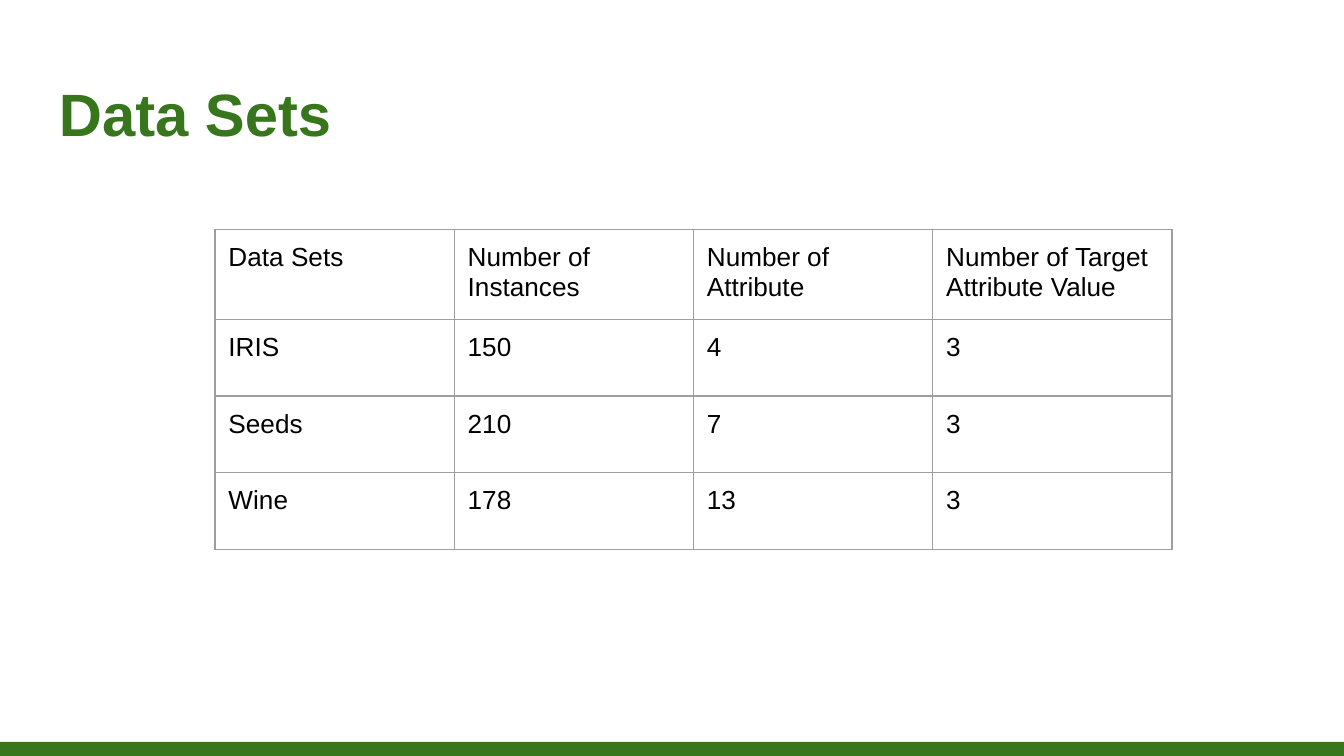
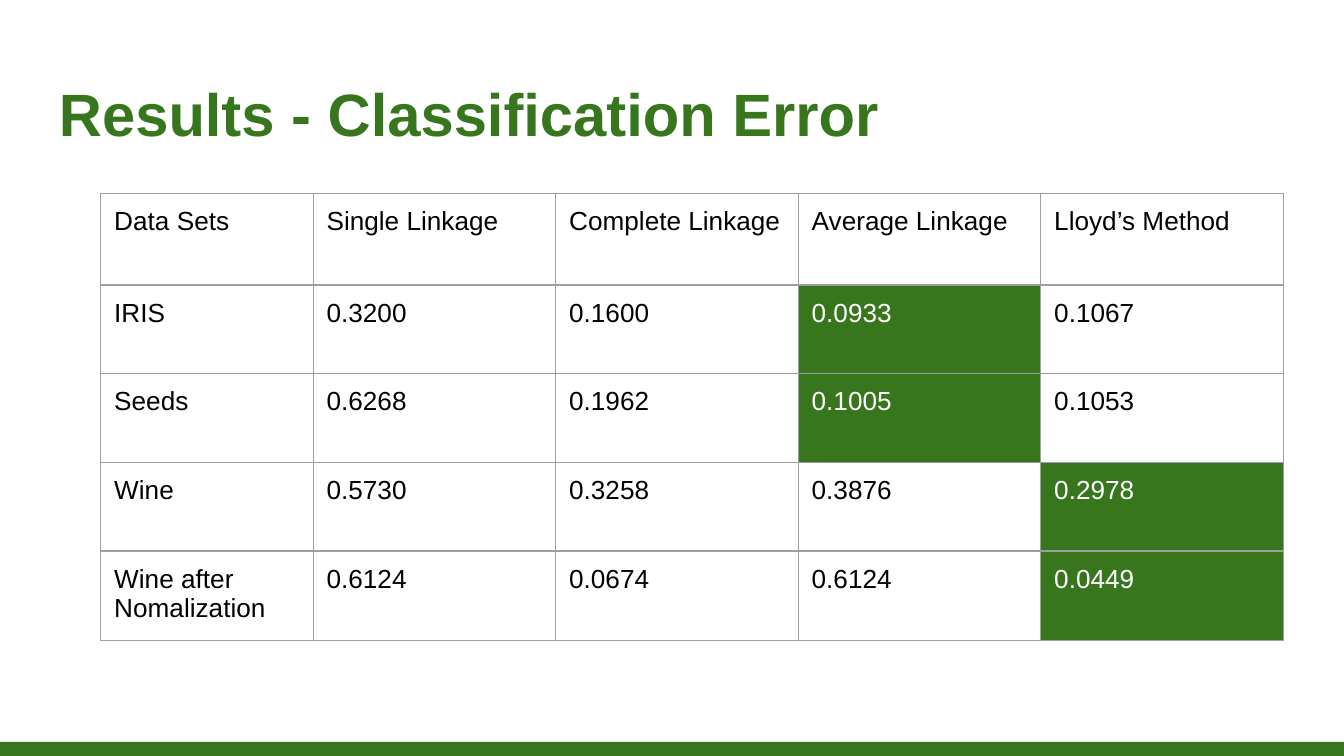
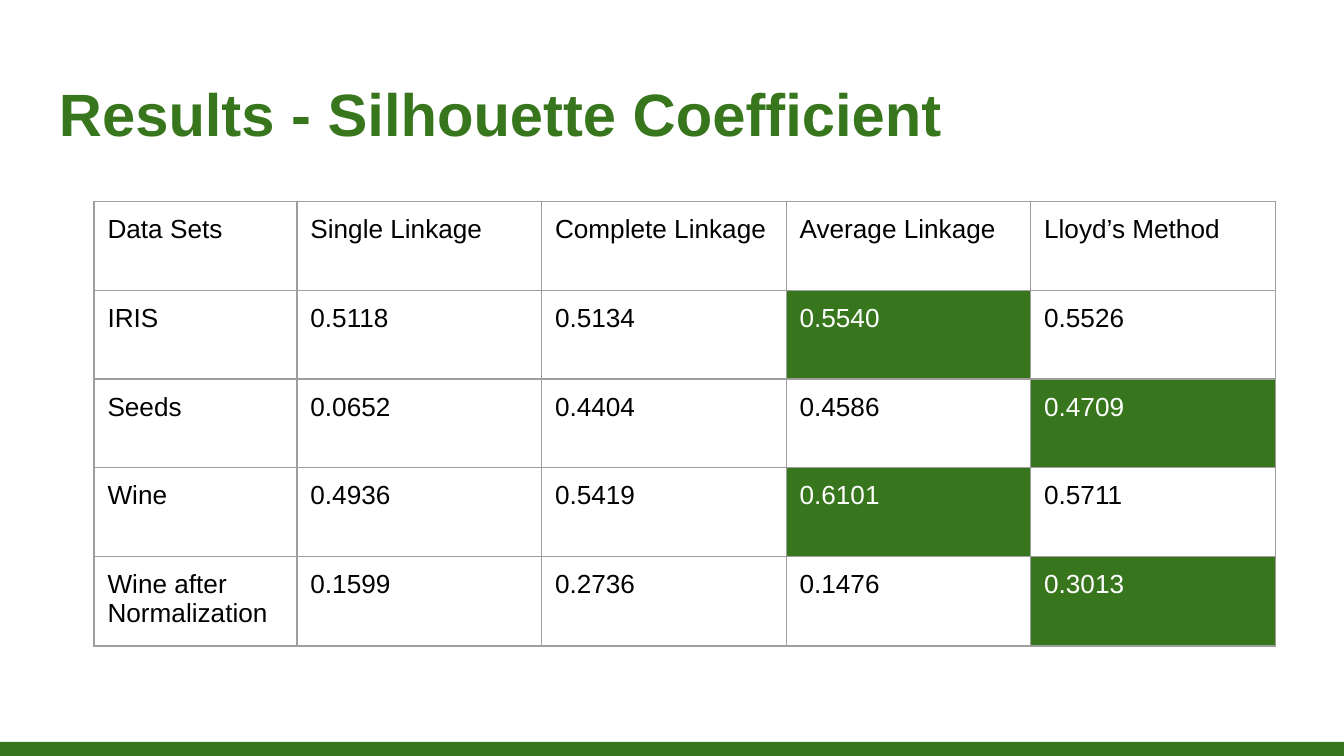
"""Build three slides of tables on clustering data sets and results."""
from dataclasses import dataclass

from lxml import etree
from pptx import Presentation
from pptx import util as u
from pptx.dml.color import RGBColor
from pptx.enum import shapes, text
from pptx.oxml import ns

METHODS = ["Data Sets", "Single Linkage", "Complete Linkage", "Average Linkage", "Lloyd’s Method"]

SLIDES = [
    {
        "title": "Data Sets",
        "corner": (1.6, 1.71),
        "columns": [1.78] * 4,
        "heights": [0.5] + [0.57] * 3,
        "best": None,
        "rows": [
            ["Data Sets", "Number of Instances", "Number of Attribute", "Number of Target Attribute Value"],
            ["IRIS", "150", "4", "3"],
            ["Seeds", "210", "7", "3"],
            ["Wine", "178", "13", "3"],
        ],
    },
    {
        "title": "Results - Classification Error",
        "corner": (0.75, 1.44),
        "columns": [1.58] + [1.805] * 4,
        "heights": [0.68] + [0.66] * 4,
        "best": min,
        "rows": [
            METHODS,
            ["IRIS", "0.3200", "0.1600", "0.0933", "0.1067"],
            ["Seeds", "0.6268", "0.1962", "0.1005", "0.1053"],
            ["Wine", "0.5730", "0.3258", "0.3876", "0.2978"],
            ["Wine after Nomalization", "0.6124", "0.0674", "0.6124", "0.0449"],
        ],
    },
    {
        "title": "Results - Silhouette Coefficient",
        "corner": (0.7, 1.5),
        "columns": [1.51] + [1.82] * 4,
        "heights": [0.66] * 5,
        "best": max,
        "rows": [
            METHODS,
            ["IRIS", "0.5118", "0.5134", "0.5540", "0.5526"],
            ["Seeds", "0.0652", "0.4404", "0.4586", "0.4709"],
            ["Wine", "0.4936", "0.5419", "0.6101", "0.5711"],
            ["Wine after Normalization", "0.1599", "0.2736", "0.1476", "0.3013"],
        ],
    },
]


@dataclass(frozen=True)
class Theme:
    font: str = "Arial"
    green: str = "38761D"
    black: str = "000000"
    white: str = "FFFFFF"
    border: str = "9E9E9E"
    title_size: float = 32
    cell_size: float = 14
    border_width: float = 0.75
    inset: float = 0.1


THEME = Theme()


def add_run(paragraph, words, size, color, bold=False):
    run = paragraph.add_run()
    run.text = words
    run.font.name = THEME.font
    run.font.size = u.Pt(size)
    run.font.bold = bold
    run.font.color.rgb = RGBColor.from_string(color)


def add_band(slide):
    band = slide.shapes.add_shape(
        shapes.MSO_SHAPE.RECTANGLE, 0, u.Inches(5.52), u.Inches(10), u.Inches(0.11))
    band.shadow.inherit = False
    band.fill.solid()
    band.fill.fore_color.rgb = RGBColor.from_string(THEME.green)
    band.line.fill.background()


def add_title(slide, words):
    title = slide.shapes.add_textbox(u.Inches(0.34), u.Inches(0.43), u.Inches(9.32), u.Inches(0.68))
    frame = title.text_frame
    frame.word_wrap = True
    frame.vertical_anchor = text.MSO_ANCHOR.TOP
    frame.margin_left = frame.margin_right = u.Inches(THEME.inset)
    frame.margin_top, frame.margin_bottom = u.Inches(0.14), 0
    add_run(frame.paragraphs[0], words, THEME.title_size, THEME.green, bold=True)


def add_borders(cell):
    properties = cell._tc.get_or_add_tcPr()
    for side in ("L", "R", "T", "B"):
        line = etree.SubElement(properties, ns.qn(f"a:ln{side}"), w=str(u.Pt(THEME.border_width)))
        fill = etree.SubElement(line, ns.qn("a:solidFill"))
        etree.SubElement(fill, ns.qn("a:srgbClr"), val=THEME.border)


def fill_cell(cell, words, highlighted):
    cell.margin_left = cell.margin_right = u.Inches(THEME.inset)
    cell.margin_top = cell.margin_bottom = u.Inches(THEME.inset)
    add_borders(cell)
    if highlighted:
        cell.fill.solid()
        cell.fill.fore_color.rgb = RGBColor.from_string(THEME.green)
    else:
        cell.fill.background()
    color = THEME.white if highlighted else THEME.black
    add_run(cell.text_frame.paragraphs[0], words, THEME.cell_size, color)


def add_data_table(slide, content):
    rows, columns, heights = content["rows"], content["columns"], content["heights"]
    left, top = content["corner"]
    table = slide.shapes.add_table(
        len(rows), len(columns), u.Inches(left), u.Inches(top),
        u.Inches(sum(columns)), u.Inches(sum(heights))).table
    table.first_row = table.horz_banding = False
    for column, width in zip(table.columns, columns):
        column.width = u.Inches(width)
    for index, (row, height, values) in enumerate(zip(table.rows, heights, rows)):
        row.height = u.Inches(height)
        best = content["best"](values[1:], key=float) if content["best"] and index else None
        for cell, words in zip(row.cells, values):
            fill_cell(cell, words, words == best)


def main():
    presentation = Presentation()
    presentation.slide_width, presentation.slide_height = u.Inches(10), u.Inches(5.625)
    for content in SLIDES:
        slide = presentation.slides.add_slide(presentation.slide_layouts[6])
        add_band(slide)
        add_title(slide, content["title"])
        add_data_table(slide, content)
    presentation.save("out.pptx")


if __name__ == "__main__":
    main()
